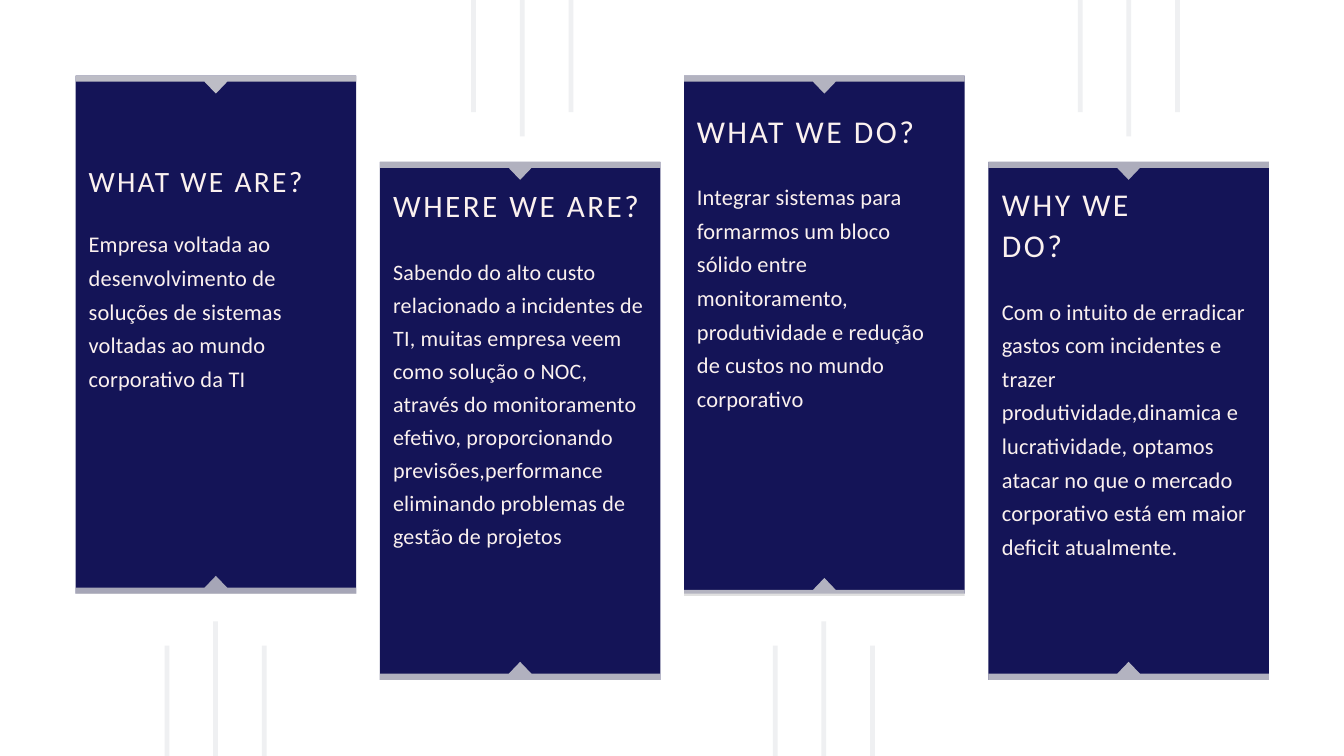
import pptx
import pptx.dml.color
import pptx.enum.shapes
import pptx.enum.text
import pptx.util
from lxml import etree
from pptx.util import Cm

NAVY, CREAM, SILVER, PALE = "141457", "FBF1EF", "D9D9D9", "EFF0F2"
FONT = "Calibri"
SLIDE_W, SLIDE_H = 50.8, 28.58

# Panel grid, in centimetres
PANEL_LEFT, PANEL_PITCH, PANEL_W, PANEL_H = 2.86, 11.5, 10.6, 19.58
HIGH, LOW = 2.86, 6.12
BAR_H, NOTCH_H, NOTCH_HALF = 0.23, 0.68, 0.43
STRIPE_W, STRIPE_PITCH = 0.18, 1.84

# Text boxes are (left, top, width, height) in cm; opacities are (top, bottom) in %
PANELS = [
    dict(top=HIGH, opacities=(86, 74), lower_band=22.45, stripes=6.22,
         title="WHAT WE ARE?", title_box=(3.35, 6.05, 9.68, 1.42), title_size=31.6,
         title_line=41.1, title_spacing=2.5,
         body="Empresa voltada ao desenvolvimento de soluções de sistemas voltadas "
              "ao mundo corporativo da TI",
         body_box=(3.35, 8.46, 9.68, 6.2), body_size=24, body_line=36),
    dict(top=LOW, opacities=(80, 80), lower_band=25.7, stripes=17.81,
         title="WHERE WE ARE?", title_box=(14.86, 6.93, 9.75, 1.47), title_size=33.4,
         title_line=43.5, title_spacing=2.7,
         body="Sabendo do alto custo relacionado a incidentes de TI, muitas empresa veem "
              "como solução o NOC, através do monitoramento efetivo, proporcionando "
              "previsões,performance\neliminando problemas de gestão de projetos",
         body_box=(14.86, 9.53, 9.75, 14.91), body_size=23.6, body_line=35.4),
    dict(top=HIGH, opacities=(81, 81), lower_band=22.53, stripes=29.21,
         title="WHAT WE DO?", title_box=(26.34, 4.09, 9.6, 1.52), title_size=34,
         title_line=44.2, title_spacing=2.7,
         body="Integrar sistemas para formarmos um bloco sólido entre monitoramento, "
              "produtividade e redução de custos no mundo corporativo",
         body_box=(26.34, 6.68, 9.6, 8.81), body_size=24, body_line=36),
    dict(top=LOW, opacities=(78, 81), lower_band=25.7, stripes=40.74,
         title="WHY WE\nDO?", title_box=(37.87, 6.86, 10.08, 3.05), title_size=34,
         title_line=44.2, title_spacing=2.7,
         body="Com o intuito de erradicar gastos com incidentes e trazer "
              "produtividade,dinamica e lucratividade, optamos atacar no que o mercado "
              "corporativo está em maior deficit atualmente.",
         body_box=(37.87, 11, 10.08, 11.35), body_size=24, body_line=36),
]


def rgb(color):
    return pptx.dml.color.RGBColor.from_string(color)


def paint(shape, color, opacity=100):
    shape.shadow.inherit = False
    shape.line.fill.background()
    shape.fill.solid()
    shape.fill.fore_color.rgb = rgb(color)
    if opacity < 100:
        color_tag = shape.fill._xPr.solidFill[0]
        alpha = etree.SubElement(color_tag, pptx.oxml.ns.qn("a:alpha"))
        alpha.set("val", str(opacity * 1000))


def add_block(slide, left, top, width, height, color):
    block = slide.shapes.add_shape(pptx.enum.shapes.MSO_SHAPE.RECTANGLE,
                                   Cm(left), Cm(top), Cm(width), Cm(height))
    paint(block, color)


def add_copy(slide, text, box, size, line, spacing):
    frame = slide.shapes.add_textbox(*[Cm(length) for length in box]).text_frame
    frame.word_wrap = True
    frame.auto_size = pptx.enum.text.MSO_AUTO_SIZE.SHAPE_TO_FIT_TEXT
    frame.margin_left = frame.margin_right = frame.margin_top = frame.margin_bottom = 0
    frame.text = text
    for paragraph in frame.paragraphs:
        paragraph.line_spacing = pptx.util.Pt(line)
        for run in paragraph.runs:
            run.font.name = FONT
            run.font.size = pptx.util.Pt(size)
            run.font.color.rgb = rgb(CREAM)
            run.font._element.set("spc", str(round(spacing * 100)))


def add_band(slide, left, edge, inward, opacity):
    """Bar along a panel edge with a notch; inward is 1 for down, -1 for up."""
    middle, right = left + PANEL_W / 2, left + PANEL_W
    bar, tip = edge + inward * BAR_H, edge + inward * NOTCH_H
    outline = [(left, edge), (left, bar), (middle - NOTCH_HALF, bar), (middle, tip),
               (middle + NOTCH_HALF, bar), (right, bar), (right, edge)]
    points = [(Cm(x), Cm(y)) for x, y in outline]
    builder = slide.shapes.build_freeform(*points[0])
    builder.add_line_segments(points[1:], close=True)
    paint(builder.convert_to_shape(), SILVER, opacity)


def add_stripes(slide, left, from_top):
    """Three stripes running off the slide, the middle one reaching further in."""
    for index, (reach, length) in enumerate([(4.24, 5.8), (5.16, 5.87), (4.24, 5.8)]):
        top = reach - length if from_top else SLIDE_H - reach + 0.07
        add_block(slide, left + index * STRIPE_PITCH, top, STRIPE_W, length, PALE)


def main():
    deck = pptx.Presentation()
    deck.slide_width, deck.slide_height = Cm(SLIDE_W), Cm(SLIDE_H)
    slide = deck.slides.add_slide(deck.slide_layouts[6])
    lefts = [PANEL_LEFT + index * PANEL_PITCH for index in range(len(PANELS))]

    # Panels
    for left, panel in zip(lefts, PANELS):
        add_block(slide, left, panel["top"], PANEL_W, PANEL_H, NAVY)

    # Titles, body text and notched bands
    for left, panel in zip(lefts, PANELS):
        add_copy(slide, panel["title"], panel["title_box"], panel["title_size"],
                 panel["title_line"], panel["title_spacing"])
        add_copy(slide, panel["body"], panel["body_box"], panel["body_size"],
                 panel["body_line"], 0.2)
        upper, lower = panel["opacities"]
        add_band(slide, left, panel["top"], 1, upper)
        add_band(slide, left, panel["lower_band"], -1, lower)

    # Stripes in the free space above or below each panel
    for panel in PANELS:
        add_stripes(slide, panel["stripes"], from_top=panel["top"] == LOW)

    deck.save("out.pptx")


if __name__ == "__main__":
    main()
